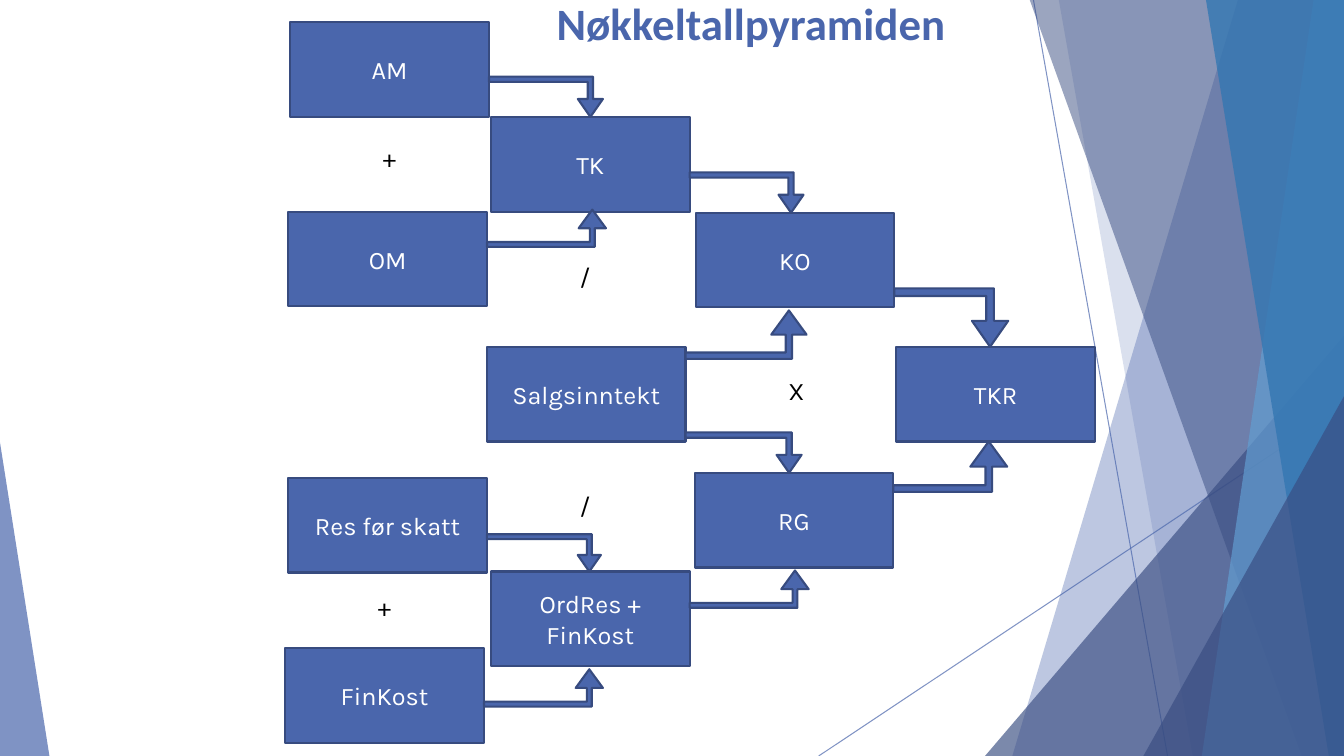
from lxml import etree
from pptx import Presentation
from pptx.dml.color import RGBColor
from pptx.enum.shapes import MSO_CONNECTOR, MSO_SHAPE
from pptx.enum.text import MSO_ANCHOR, MSO_AUTO_SIZE, PP_ALIGN
from pptx.oxml.ns import qn
from pptx.util import Inches, Pt

STRAIGHT = MSO_CONNECTOR.STRAIGHT
RECT = MSO_SHAPE.RECTANGLE
TRIANGLE = MSO_SHAPE.ISOSCELES_TRIANGLE
BENT_ARROW = MSO_SHAPE.BENT_UP_ARROW
TOP, MIDDLE = MSO_ANCHOR.TOP, MSO_ANCHOR.MIDDLE
LEFT, CENTER = PP_ALIGN.LEFT, PP_ALIGN.CENTER
FIT_SHAPE, NO_FIT = MSO_AUTO_SIZE.SHAPE_TO_FIT_TEXT, MSO_AUTO_SIZE.NONE

SLIDE_W, SLIDE_H = 13.33, 7.5
BLUE, EDGE, NAVY = "4A66AC", "374B7F", "384C81"
SKY, OCEAN, WHITE, BLACK = "629DD1", "3477B2", "FFFFFF", "000000"
BOX_W, BOX_H = 1.97, 0.94
DOWN_ADJ = (0.131, 0.31, 0.444)
UP_ADJ = (0.131, 0.365, 0.5)

BOXES = {
    "TKR": (6.06, 3.22),
    "RG": (4.06, 4.47),
    "KO": (4.07, 1.89),
    "OrdRes + FinKost": (2.04, 5.45),
    "Salgsinntekt": (2, 3.22),
    "TK": (2.04, 0.94),
    "OM": (0.03, 1.88),
    "AM": (0.05, 0),
    "FinKost": (0, 6.21),
    "Res før skatt": (0.03, 4.52),
}
OPERATORS = [
    ("X", 4.89, 3.45),
    ("/", 2.82, 4.6),
    ("/", 2.82, 2.32),
    ("+", 0.87, 1.14),
    ("+", 0.82, 5.6),
]
ARROWS = [
    ("AM", "TK", 1.13, 0.4, 0),
    ("TK", "KO", 1.13, 0.4, 0),
    ("KO", "TKR", 1.13, 0.58, 0),
    ("Res før skatt", "OrdRes + FinKost", 1.13, 0.37, 0),
    ("Salgsinntekt", "RG", 1.15, 0.4, 0),
    ("FinKost", "OrdRes + FinKost", 1.18, 0.37, 0.03),
    ("OrdRes + FinKost", "RG", 1.18, 0.37, 0.03),
    ("RG", "TKR", 1.13, 0.5, 0),
    ("OM", "TK", 1.18, 0.37, -0.02),
    ("Salgsinntekt", "KO", 1.2, 0.48, 0.03),
]


def paint(fmt, color, alpha=100):
    fmt.solid()
    fmt.fore_color.rgb = RGBColor.from_string(color)
    if alpha < 100:
        clr = fmt._xPr.find(qn("a:solidFill"))[0]
        etree.SubElement(clr, qn("a:alpha")).set("val", str(alpha * 1000))


def style(sp, fill, alpha=100, edge=None):
    sp.shadow.inherit = False
    paint(sp.fill, fill, alpha)
    if edge:
        paint(sp.line.fill, edge)
        sp.line.width = Pt(1.5)
    else:
        sp.line.fill.background()


def write(tf, text, size=18, font="Karla", color=BLACK, bold=False,
          align=LEFT, anchor=TOP, wrap=True, fit=NO_FIT):
    tf.word_wrap = wrap
    tf.auto_size = fit
    tf.vertical_anchor = anchor
    p = tf.paragraphs[0]
    p.alignment = align
    r = p.add_run()
    r.text = text
    r.font.size = Pt(size)
    r.font.name = font
    r.font.bold = bold
    r.font.color.rgb = RGBColor.from_string(color)


def add_preset(s, kind, x, y, w, h, adj=()):
    sp = s.shapes.add_shape(kind, Inches(x), Inches(y), Inches(w), Inches(h))
    for i, value in enumerate(adj):
        sp.adjustments[i] = value
    return sp


def add_ray(s, x1, y1, x2, y2):
    line = s.shapes.add_connector(
        STRAIGHT, Inches(x1), Inches(y1), Inches(x2), Inches(y2))
    paint(line.line.fill, BLUE, 70)
    line.line.width = Pt(0.75)
    etree.SubElement(line._element.spPr, qn("a:effectLst"))


def add_band(s, right, top, bottom, top_w, bottom_w, color, alpha):
    fb = s.shapes.build_freeform(Inches(right - top_w), Inches(top))
    corners = [(right, top), (right, bottom), (right - bottom_w, bottom)]
    fb.add_line_segments([(Inches(x), Inches(y)) for x, y in corners])
    style(fb.convert_to_shape(), color, alpha)


def add_corner(s, x, bottom, w, h, apex, color, alpha):
    sp = add_preset(s, TRIANGLE, x, bottom - h, w, h, (apex,))
    style(sp, color, alpha)


def add_backdrop(s, x, y, w, h):
    right, bottom = x + w, y + h
    edges = (right, y - 0.01, bottom)
    add_ray(s, right - 3.08, y, right - 1.75, bottom)
    add_ray(s, right, y + 4.03, right - 5.21, bottom)
    add_band(s, *edges, 1.05, 3.29, BLUE, 36)
    add_band(s, *edges, 2.83, 1.5, BLUE, 20)
    add_corner(s, right - 3.56, bottom, 3.56, 4.17, 1, NAVY, 66)
    add_band(s, *edges, 3.12, 0.42, NAVY, 50)
    add_band(s, *edges, 0.3, 1.41, SKY, 70)
    add_band(s, *edges, 1.37, 0.15, OCEAN, 80)
    add_corner(s, right - 1.99, bottom, 1.99, 3.57, 1, NAVY, 66)
    add_corner(s, x, bottom, 0.49, 3.11, 0, BLUE, 70)


def add_arrow(s, x, y, source, target, w, h, gap):
    sx, sy = BOXES[source]
    ty = BOXES[target][1]
    down = sy < ty
    top = ty - h - gap if down else ty + BOX_H + gap
    sp = add_preset(s, BENT_ARROW, x + sx + BOX_W, y + top, w, h,
                    DOWN_ADJ if down else UP_ADJ)
    style(sp, BLUE, edge=EDGE)
    if down:
        sp.rotation = 180
        sp._element.spPr.find(qn("a:xfrm")).set("flipH", "1")


def add_pyramid(s, x, y):
    for label, (dx, dy) in BOXES.items():
        sp = add_preset(s, RECT, x + dx, y + dy, BOX_W, BOX_H)
        style(sp, BLUE, edge=EDGE)
        write(sp.text_frame, label, color=WHITE, align=CENTER, anchor=MIDDLE)
    for sign, dx, dy in OPERATORS:
        tb = s.shapes.add_textbox(
            Inches(x + dx), Inches(y + dy), Inches(0.34), Inches(0.4))
        write(tb.text_frame, sign, wrap=False, fit=FIT_SHAPE)
    for arrow in ARROWS:
        add_arrow(s, x, y, *arrow)


def add_title(s, x, y, w, h):
    sp = s.shapes.title
    sp.left, sp.top, sp.width, sp.height = map(Inches, (x, y, w, h))
    write(sp.text_frame, "Nøkkeltallpyramiden", size=32, font="Calibri",
          color=BLUE, bold=True)


def main():
    prs = Presentation()
    prs.slide_width, prs.slide_height = Inches(SLIDE_W), Inches(SLIDE_H)
    s = prs.slides.add_slide(prs.slide_layouts[5])
    add_backdrop(s, 0, 0, SLIDE_W, SLIDE_H)
    add_pyramid(s, 2.83, 0.22)
    add_title(s, 5.42, -0.09, 9.4, 1.44)
    prs.save("out.pptx")


if __name__ == "__main__":
    main()
